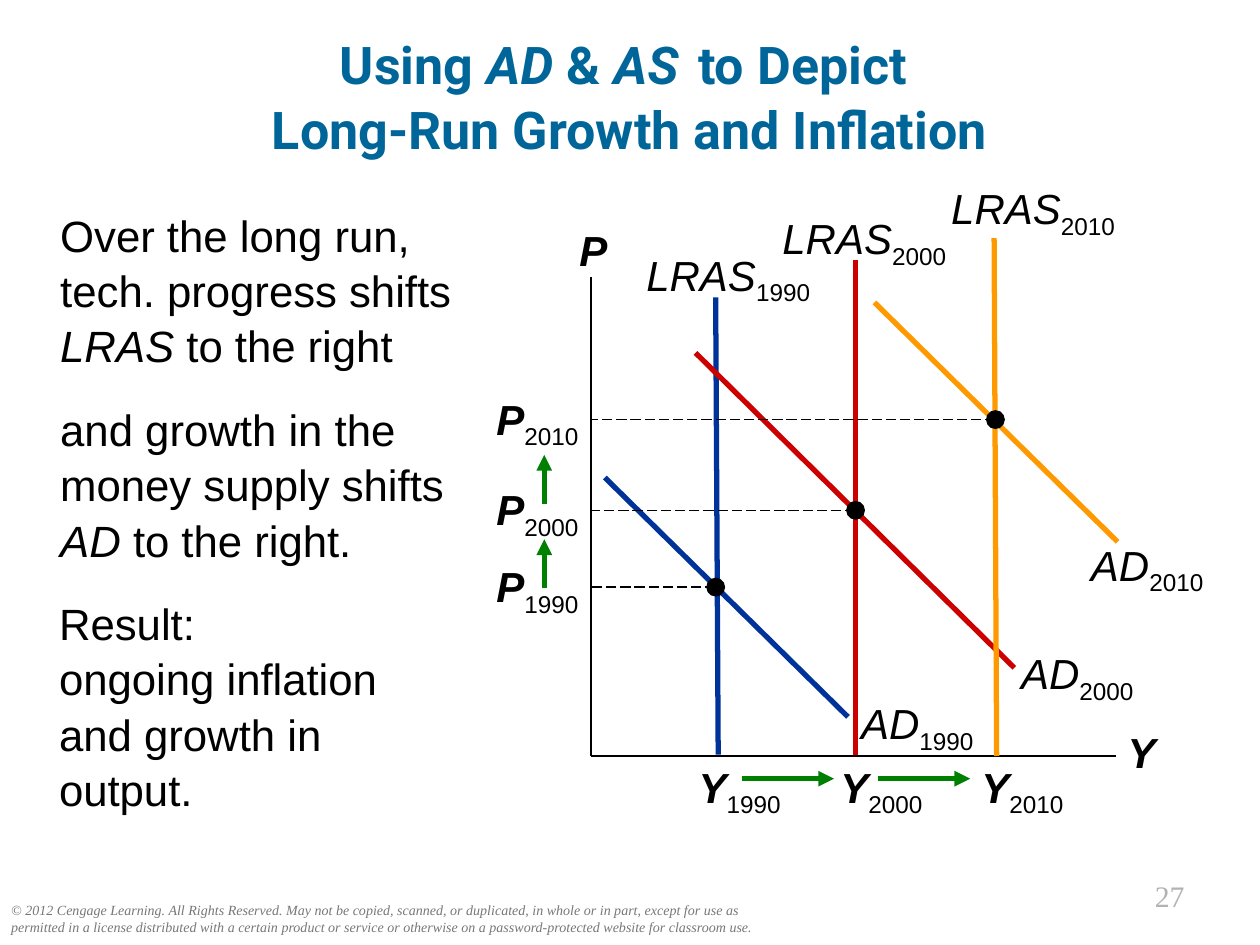
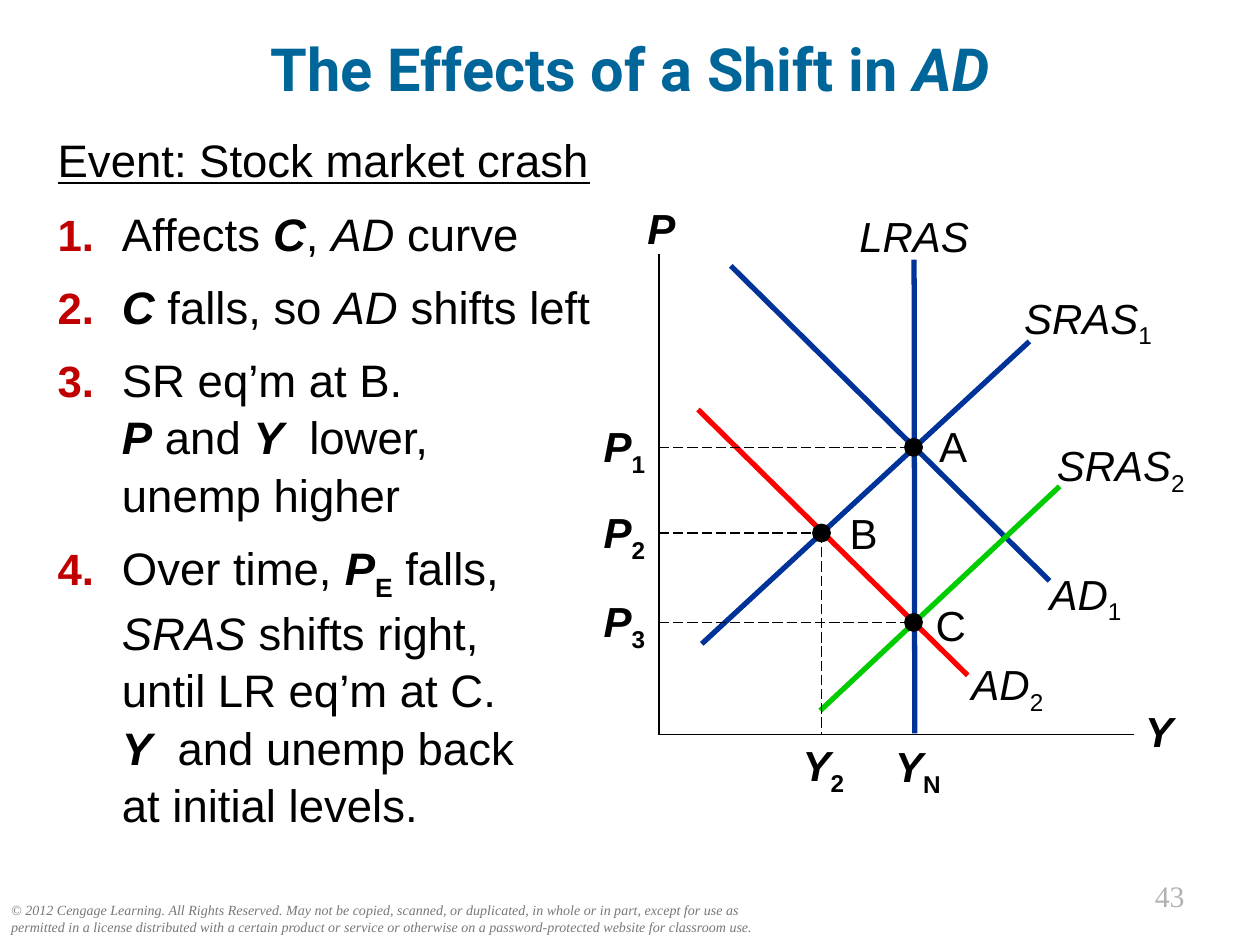
from dataclasses import dataclass

from lxml import etree
from pptx import Presentation
from pptx.dml.color import RGBColor
from pptx.enum.dml import MSO_LINE
from pptx.enum.shapes import MSO_CONNECTOR, MSO_SHAPE
from pptx.enum.text import MSO_ANCHOR, MSO_AUTO_SIZE, PP_ALIGN
from pptx.oxml.ns import qn
from pptx.util import Inches, Pt

LEFT, MID, RIGHT = PP_ALIGN.LEFT, PP_ALIGN.CENTER, PP_ALIGN.RIGHT
TOP, CENTRE = MSO_ANCHOR.TOP, MSO_ANCHOR.MIDDLE
DASH, STRAIGHT, OVAL = MSO_LINE.LONG_DASH, MSO_CONNECTOR.STRAIGHT, MSO_SHAPE.OVAL


@dataclass(frozen=True)
class Theme:
    sans: str = "Arial"
    head: str = "Roboto"
    serif: str = "Times New Roman"
    title: str = "006699"
    ink: str = "000000"
    grey: str = "777777"
    pale: str = "B2B2B2"
    num: str = "C00000"
    blue: str = "003399"
    dark: str = "CC0000"
    gold: str = "FF9900"
    red: str = "FF0000"
    lime: str = "00CC00"
    green: str = "008000"
    label: float = 24
    body: float = 25
    list: float = 26
    page: float = 17
    note: float = 8


T = Theme()

# Slide and grid: 100 columns by 75 rows
deck = Presentation()
deck.slide_width, deck.slide_height = Inches(10), Inches(7.5)
COL, ROW = deck.slide_width / 100, deck.slide_height / 75


def put(slide, box, pars, size, color=T.ink, font=T.sans, align=LEFT, title=False,
        inset=True, space=1, gap=0, hang=0):
    """Write paragraphs of (text, marks) runs: b, i, u, s = subscript, n = number, t = thin."""
    x, y, w, h = int(box[0] * COL), int(box[1] * ROW), int(box[2] * COL), int(box[3] * ROW)
    if title:
        shape = slide.shapes.title
        shape.left, shape.top, shape.width, shape.height = x, y, w, h
    else:
        shape = slide.shapes.add_textbox(x, y, w, h)
    frame = shape.text_frame
    frame.word_wrap = True
    frame.auto_size = MSO_AUTO_SIZE.NONE
    frame.vertical_anchor = CENTRE if title else TOP
    if not inset:
        frame.margin_left = frame.margin_right = frame.margin_top = frame.margin_bottom = 0
    for i, runs in enumerate(pars):
        par = frame.add_paragraph() if i else frame.paragraphs[0]
        par.alignment, par.line_spacing = align, space
        par.space_before = Pt(gap if i else 0)
        if hang:
            props = par._p.get_or_add_pPr()
            props.set("marL", str(int(hang * COL)))
            props.set("indent", str(-int(hang * COL)))
        for text, marks in runs:
            for j, part in enumerate(text.split("\n")):
                if j:
                    par.add_line_break()
                if not part:
                    continue
                run = par.add_run()
                run.text = part
                face = run.font
                face.name = font
                face.size = Pt(T.body if "n" in marks else size / 2 if "t" in marks else size)
                face.bold = title or "b" in marks or "n" in marks
                face.italic, face.underline = "i" in marks, "u" in marks
                face.color.rgb = RGBColor.from_string(T.num if "n" in marks else color)
                if "s" in marks:
                    run._r.get_or_add_rPr().set("baseline", "-25000")


def line(slide, ends, color=T.ink, width=3, dash=None, arrow=False):
    """Draw a line from (x1, y1) to (x2, y2) in grid units."""
    x1, y1, x2, y2 = ends
    link = slide.shapes.add_connector(STRAIGHT, int(x1 * COL), int(y1 * ROW),
                                      int(x2 * COL), int(y2 * ROW))
    link.line.color.rgb = RGBColor.from_string(color)
    link.line.width = Pt(width)
    if dash:
        link.line.dash_style = dash
    if arrow:
        etree.SubElement(link.line._get_or_add_ln(), qn("a:tailEnd"), type="triangle")
    etree.SubElement(link._element.spPr, qn("a:effectLst"))


# Shared frame: title, footer, page number and axes
NOTE = ("© 2012 Cengage Learning. All Rights Reserved. May not be copied, scanned, or "
        "duplicated, in whole or in part, except for use as permitted in a license "
        "distributed with a certain product or service or otherwise on a "
        "password-protected website for classroom use.")
frames = [
    ("27", (0, 2.3, 100, 10.4), 29.7, 1.05, (46.9, 22, 88.6, 60),
     [("Using ", ""), ("AD", "i"), (" & ", ""), ("AS ", "i"), (" ", "t"),
      ("to Depict \nLong-Run Growth and Inflation", "")]),
    ("43", (0, 1.8, 100, 7.1), 34, 1, (52.3, 20.2, 90, 58.3),
     [("The Effects of a Shift in ", ""), ("AD", "i")]),
]
pages = []
for page, box, size, space, (left, top, right, base), runs in frames:
    slide = deck.slides.add_slide(deck.slide_layouts[5])
    pages.append(slide)
    put(slide, box, [runs], size, T.title, T.head, MID, title=True, space=space)
    put(slide, (-0.1, 71.1, 61.8, 3.7), [[(NOTE, "i")]], T.note, T.grey, T.serif)
    put(slide, (82.5, 69.2, 12.5, 3.9), [[(page, "")]], T.page, T.pale, T.serif, RIGHT)
    line(slide, (left, top, left, base), width=1)
    line(slide, (left, base, right, base), width=1)
    put(slide, (left - 2, top - 4.65, 4.4, 5), [[("P", "bi")]], T.label, align=MID)
    put(slide, (right - 0.5, base - 2.8, 5, 5), [[("Y", "bi")]], T.label, align=MID)
growth, crash = pages

# Growth: text on the left
notes = [
    ((3.8, 15.9, 33.6, 14.6), [("Over the long run, tech. progress shifts ", ""),
                               ("LRAS", "i"), (" to the right", "")]),
    ((3.8, 31.3, 33.6, 14.8), [("and growth in the money supply shifts ", ""),
                               ("AD", "i"), (" to the right.", "")]),
    ((3.7, 46.7, 29.8, 18.6), [("Result:\nongoing inflation and growth in output.", "")]),
]
for box, runs in notes:
    put(growth, box, [runs], T.body, space=1.05)

# Growth: curves, labels and balance point of each year
years = [
    ("1990", T.blue, (56.8, 23.6, 57, 59.9), (49.5, 19.3, 16.6), (48, 37.9, 67.3, 56.9),
     (66.9, 54.9, 11.8), (56.8, 46.6), (54.7, 8)),
    ("2000", T.dark, (67.9, 20.6, 67.9, 59.9), (59.4, 16.4, 18.4), (55.2, 28, 80.5, 53),
     (78.9, 50.9, 13.2), (67.9, 40.5), (65.2, 9.5)),
    ("2010", T.gold, (78.9, 18.9, 79.1, 60), (73.7, 14, 16.6), (69.4, 24, 88.7, 43),
     (84.7, 42.3, 12.7), (79, 33.3), (76.2, 9.9)),
]
dots = []
for year, color, lras, ltag, ad, atag, (x, y), (yx, yw) in years:
    line(growth, lras, color)
    line(growth, ad, color)
    line(growth, (x, y, 46.9, y), width=0.75, dash=DASH)
    for name, tag in (("LRAS", ltag), ("AD", atag)):
        put(growth, (*tag, 5), [[(name, "i"), (year, "s")]], T.label, align=MID)
    for name, box in (("P", (38.5, y - 2.1, 8.3, 4)), ("Y", (yx, 60.4, yw, 4))):
        put(growth, box, [[(name, "bi"), (year, "s")]], T.label, align=MID, inset=False)
    dots.append((growth, x, y))

# Growth: arrows between the years
for ends in ((58.9, 61.8, 66.2, 61.8), (69.7, 61.8, 77, 61.8),
             (43.2, 46.7, 43.2, 42.8), (43.2, 40, 43.2, 36.1)):
    line(growth, ends, T.green, arrow=True)

# Crash: numbered steps
steps = [
    [("Event: Stock market crash", "u")],
    [("1. \t", "n"), ("Affects ", ""), ("C", "bi"), (", ", ""), ("AD", "i"), (" curve", "")],
    [("2. \t", "n"), ("C", "bi"), (" falls, so ", ""), ("AD", "i"), (" shifts left", "")],
    [("3. \t", "n"), ("SR eq’m at B. \n", ""), ("P", "bi"), (" and ", ""), ("Y", "bi"),
     ("  lower,\nunemp higher", "")],
    [("4. \t", "n"), ("Over time, ", ""), ("P", "bi"), ("E", "bs"), (" falls, \n", ""),
     ("SRAS", "i"), (" shifts right,\nuntil LR eq’m at C.\n", ""), ("Y", "bi"),
     ("  and unemp back \nat initial levels.", "")],
]
put(crash, (3.6, 9.8, 44.6, 59.3), steps, T.list, space=1.05, gap=9.1, hang=5.1)

# Crash: curves with their names
curves = [
    ("LRAS", "", T.blue, (72.55, 20.6, 72.6, 58.2), (66.1, 16.2, 12.9)),
    ("AD", "1", T.blue, (58, 21.1, 83.3, 46.1), (82.1, 44.6, 8.1)),
    ("SRAS", "1", T.blue, (55.7, 51.1, 81.7, 27.1), (79.9, 22.7, 12.9)),
    ("AD", "2", T.red, (55.4, 32.5, 76.8, 53.6), (76, 51.8, 7.9)),
    ("SRAS", "2", T.lime, (65.1, 56.4, 84.1, 38.6), (82.5, 34.4, 12.9)),
]
for name, mark, color, ends, tag in curves:
    line(crash, ends, color)
    put(crash, (*tag, 5), [[(name, "i"), (mark, "s")]], T.label, align=MID)

# Crash: balance points and levels
line(crash, (65.2, 42.3, 65.2, 58.3), width=0.75, dash=DASH)
points = [("A", "1", 72.5, 35.5, 73.9, 33.4), ("B", "2", 65.2, 42.3, 66.8, 40.3),
          ("C", "3", 72.5, 49.4, 73.7, 47.6)]
for name, mark, x, y, tx, ty in points:
    line(crash, (52.3, y, x, y), width=0.75, dash=DASH)
    put(crash, (46.9, y - 2.1, 5.3, 4), [[("P", "bi"), (mark, "bs")]], T.label,
        align=MID, inset=False)
    put(crash, (tx, ty, 3.5, 4), [[(name, "")]], T.label, align=MID, inset=False)
    dots.append((crash, x, y))
for mark, box in (("2", (62.7, 58.7, 5.3, 4)), ("N", (70.2, 58.8, 5.3, 4))):
    put(crash, box, [[("Y", "bi"), (mark, "bs")]], T.label, align=MID, inset=False)

# Dots on all balance points
for slide, x, y in dots:
    dot = slide.shapes.add_shape(OVAL, int((x - 0.75) * COL), int((y - 0.75) * ROW),
                                 int(1.5 * COL), int(1.5 * ROW))
    dot.shadow.inherit = False
    dot.fill.solid()
    dot.fill.fore_color.rgb = RGBColor.from_string(T.ink)
    dot.line.fill.background()

deck.save("out.pptx")
